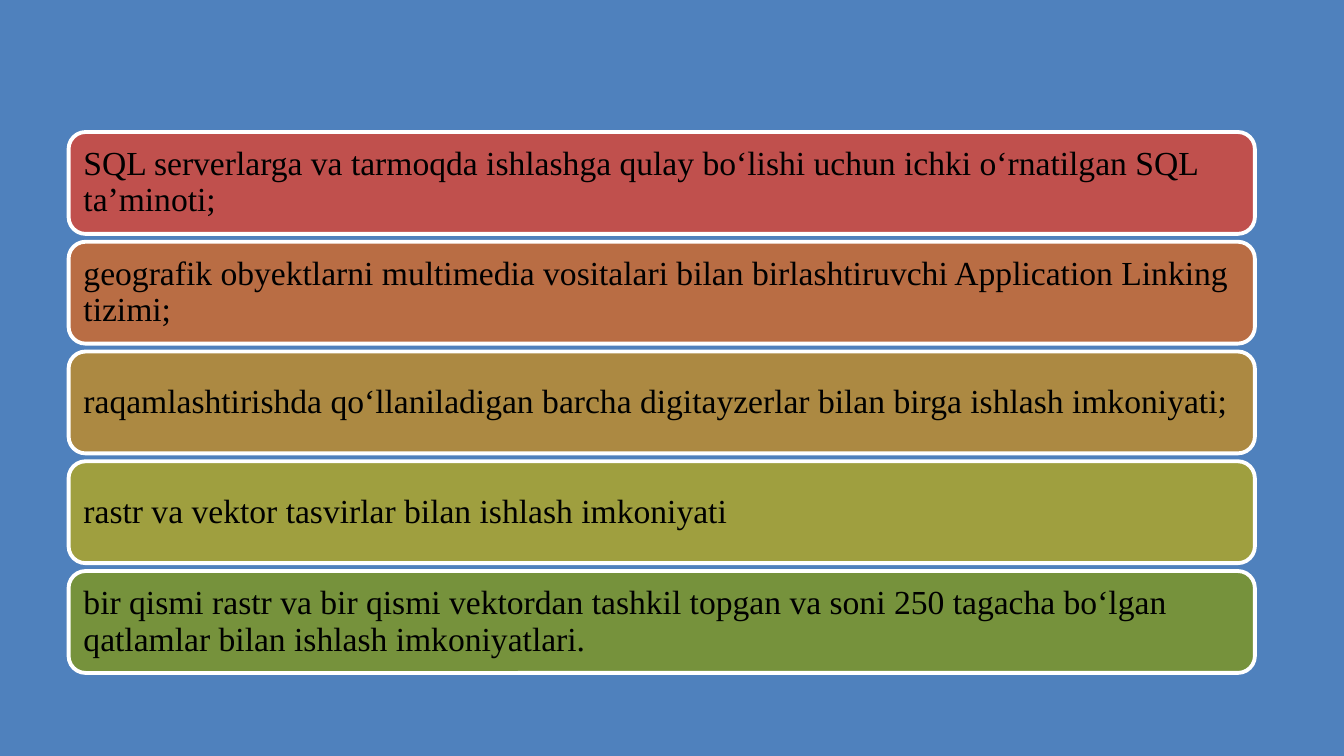
from pptx import Presentation
from pptx.dml.color import RGBColor
from pptx.enum.shapes import MSO_SHAPE as Shape
from pptx.enum.text import MSO_ANCHOR as Anchor, PP_ALIGN as Align
from pptx.util import Pt


def color(code):
    return RGBColor.from_string(code)


class Deck:
    """Holds the style and the current slide."""
    font = {"name": "Times New Roman", "size": Pt(24)}
    frame = {"word_wrap": True, "vertical_anchor": Anchor.MIDDLE,
             "margin_left": Pt(7.2), "margin_right": Pt(7.2),
             "margin_top": Pt(7.2), "margin_bottom": Pt(7.2)}
    para = {"alignment": Align.LEFT, "line_spacing": 0.9}
    ink, edge, back = "000000", "FFFFFF", "4F81BD"

    def __init__(self, wide, high):
        self.show = Presentation()
        self.show.slide_width, self.show.slide_height = Pt(wide), Pt(high)
        self.slide = self.show.slides.add_slide(self.show.slide_layouts[6])
        fill = self.slide.background.fill
        fill.solid()
        fill.fore_color.rgb = color(self.back)

    def format(self, item, values):
        for name, value in values.items():
            setattr(item, name, value)

    def bar(self, left, top, wide, high, fill, text):
        box = self.slide.shapes.add_shape(
            Shape.ROUNDED_RECTANGLE, Pt(left), Pt(top), Pt(wide), Pt(high))
        box.shadow.inherit = False
        box.fill.solid()
        box.fill.fore_color.rgb = color(fill)
        box.line.color.rgb = color(self.edge)
        box.line.width = Pt(2.75)
        # Text inside the bar
        frame = box.text_frame
        self.format(frame, self.frame)
        para = frame.paragraphs[0]
        self.format(para, self.para)
        run = para.add_run()
        run.text = text
        self.format(run.font, self.font)
        run.font.color.rgb = color(self.ink)


# Bar colours and wording, from top to bottom
BARS = [
    ("C0504D", "SQL serverlarga va tarmoqda ishlashga qulay boʻlishi uchun "
               "ichki oʻrnatilgan SQL ta’minoti;"),
    ("B96D44", "geografik obyektlarni multimedia vositalari bilan "
               "birlashtiruvchi Application Linking tizimi;"),
    ("AC8942", "raqamlashtirishda qoʻllaniladigan barcha digitayzerlar bilan "
               "birga ishlash imkoniyati;"),
    ("9F9F3F", "rastr va vektor tasvirlar bilan ishlash imkoniyati"),
    ("76923C", "bir qismi rastr va bir qismi vektordan tashkil topgan va soni "
               "250 tagacha boʻlgan qatlamlar bilan ishlash imkoniyatlari."),
]
LEFT, TOP, WIDE, HIGH, STEP = 49, 94.3, 847.4, 72.8, 78.4


def main():
    deck = Deck(960, 540)
    # Stack of bars at equal steps
    for row, (fill, text) in enumerate(BARS):
        deck.bar(LEFT, TOP + row * STEP, WIDE, HIGH, fill, text)
    deck.show.save("out.pptx")


if __name__ == "__main__":
    main()
